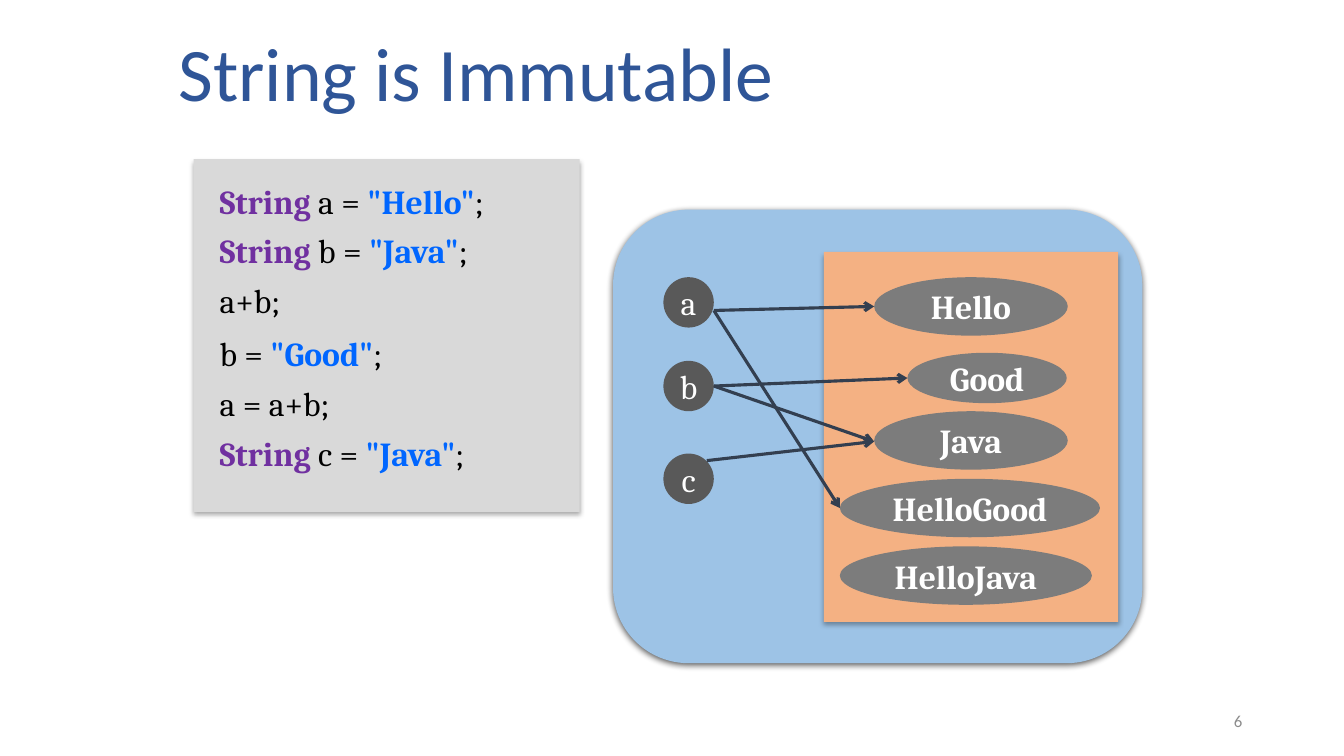
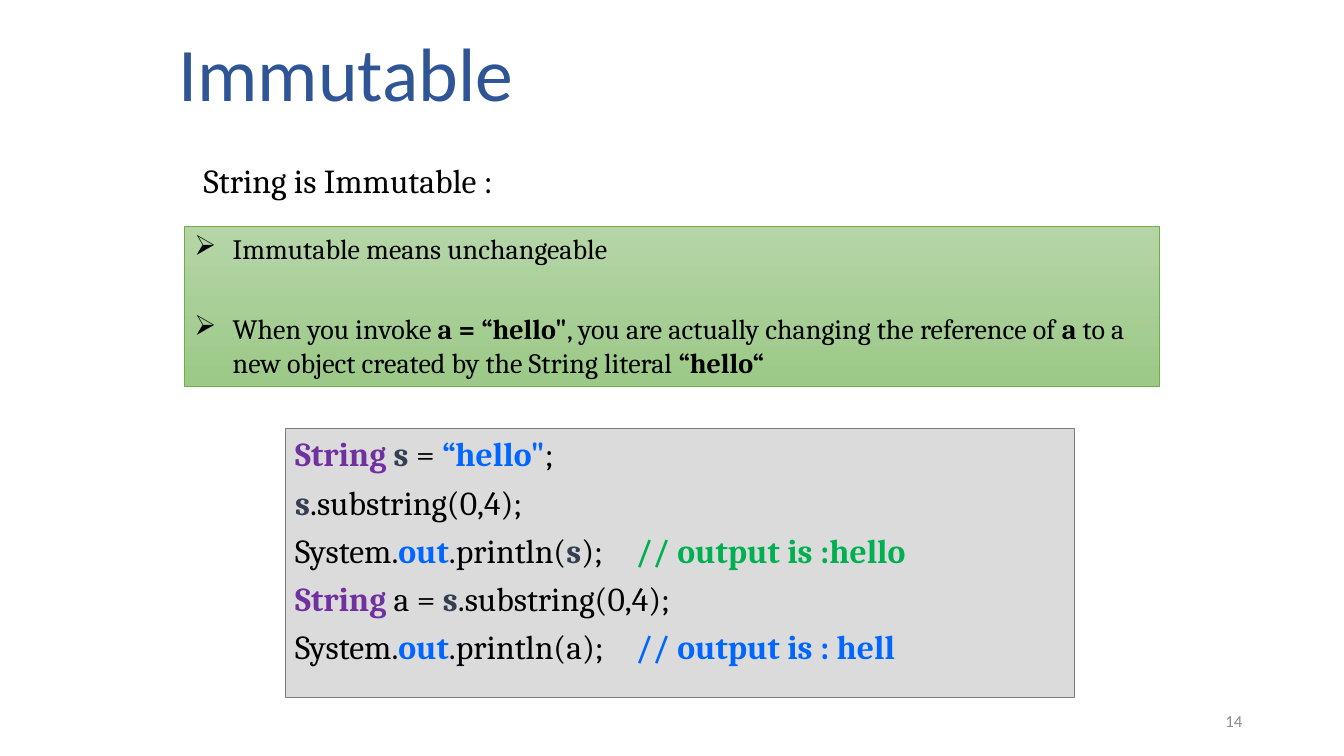
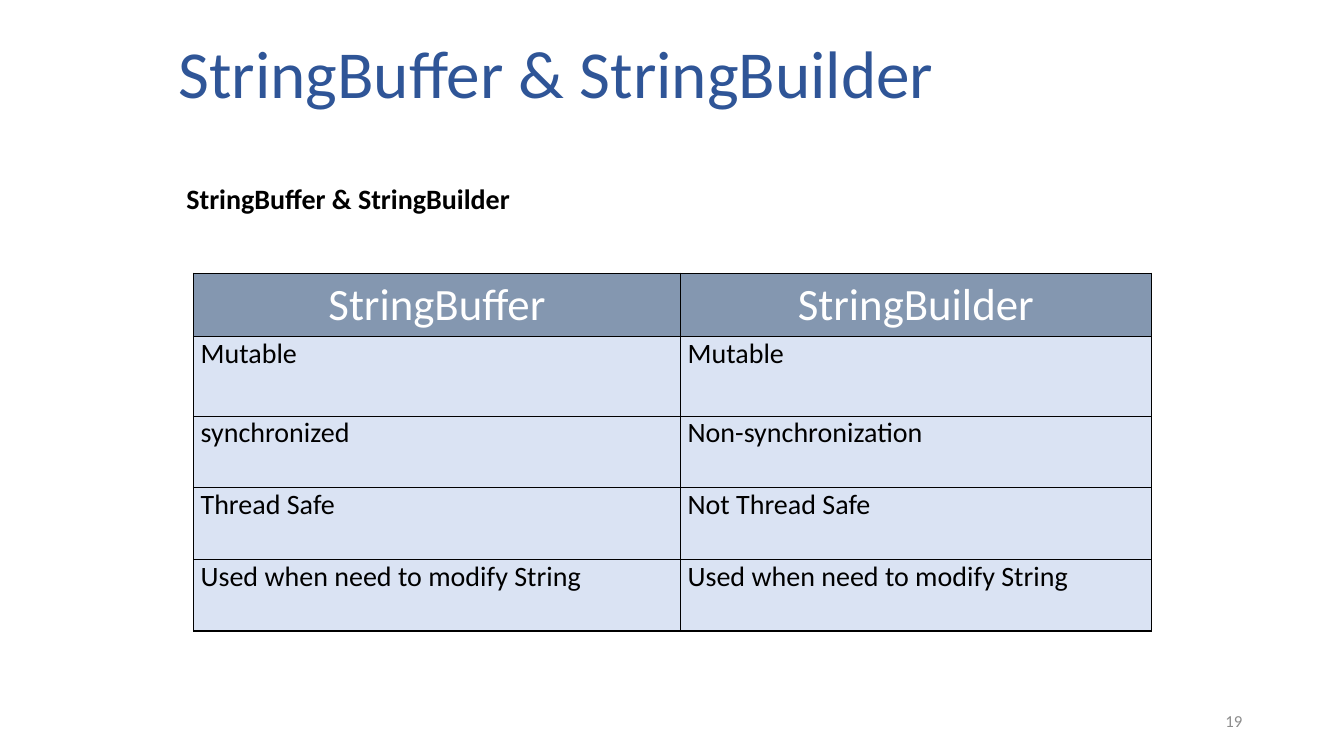
from lxml import etree
from pptx import Presentation
from pptx import util as u
from pptx.dml.color import RGBColor
from pptx.enum import shapes, text
from pptx.oxml.ns import qn

# Shared colours and fonts
TITLE_BLUE = RGBColor(0x2F, 0x55, 0x97)
NUMBER_GREY = RGBColor(0x8C, 0x8C, 0x8C)
BLACK = RGBColor(0, 0, 0)
WHITE = RGBColor(0xFF, 0xFF, 0xFF)
PURPLE = RGBColor(0x70, 0x30, 0xA0)
BLUE = RGBColor(0x00, 0x66, 0xFF)
GREEN = RGBColor(0x00, 0xB0, 0x50)
SLATE = RGBColor(0x33, 0x3F, 0x50)
CODE_GREY = RGBColor(0xD9, 0xD9, 0xD9)
OUTPUT_GREY = RGBColor(0xDB, 0xDB, 0xDB)
OBJECT_GREY = RGBColor(0x7C, 0x7C, 0x7C)
VARIABLE_GREY = RGBColor(0x59, 0x59, 0x59)
MEMORY_BLUE = RGBColor(0x9D, 0xC3, 0xE6)
POOL_ORANGE = RGBColor(0xF4, 0xB1, 0x83)
NOTE_TOP = RGBColor(0xB5, 0xD5, 0xA7)
NOTE_BOTTOM = RGBColor(0x9C, 0xC9, 0x87)
NOTE_EDGE = RGBColor(0x70, 0xAD, 0x47)
HEADER_FILL = RGBColor(0x84, 0x97, 0xB0)
CELL_FILL = RGBColor(0xDA, 0xE3, 0xF3)
SANS, SERIF = "Calibri", "Cambria"

LEFT, CENTER, RIGHT = (text.PP_ALIGN.LEFT, text.PP_ALIGN.CENTER,
                       text.PP_ALIGN.RIGHT)
TOP, MIDDLE = text.MSO_ANCHOR.TOP, text.MSO_ANCHOR.MIDDLE
RECTANGLE = shapes.MSO_SHAPE.RECTANGLE
ROUNDED = shapes.MSO_SHAPE.ROUNDED_RECTANGLE
OVAL = shapes.MSO_SHAPE.OVAL
SOFT_SHADOW = (32, 3.5, 2.2)
DEEP_SHADOW = (63, 4.5, 1.5)
TITLE_ONLY, TITLE_AND_BODY = 5, 1


def plain(words):
    return words, BLACK, False


def bold(words, color=BLACK):
    return words, color, True


class Deck:
    """Holds the presentation, its style and the current slide."""

    def __init__(self):
        self.presentation = Presentation()
        self.presentation.slide_width = u.Inches(13.33)
        self.presentation.slide_height = u.Inches(7.5)
        self.slide = None

    def new_slide(self, title, number, size=54, layout=TITLE_ONLY):
        self.slide = self.presentation.slides.add_slide(
            self.presentation.slide_layouts[layout])
        shape = self.slide.shapes.title
        self.place(shape, 1.67, 0, 7.83, 1.42)
        self.frame(shape, MIDDLE)
        self.add_lines(shape.text_frame, [[(title, TITLE_BLUE, False)]], size,
                       SANS)
        self.text_box((9.42, 6.95, 3, 0.4), [(number, NUMBER_GREY, False)],
                      12, SANS, align=RIGHT, anchor=MIDDLE)

    @staticmethod
    def place(shape, left, top, width, height):
        shape.left, shape.top = u.Inches(left), u.Inches(top)
        shape.width, shape.height = u.Inches(width), u.Inches(height)

    @staticmethod
    def frame(shape, anchor, wrap=True):
        shape.text_frame.auto_size = text.MSO_AUTO_SIZE.NONE
        shape.text_frame.word_wrap = wrap
        shape.text_frame.vertical_anchor = anchor

    @staticmethod
    def add_lines(frame, lines, size, font, align=LEFT, indent=0, gap=0,
                  bullet=None):
        for index, line in enumerate(lines):
            paragraph = frame.add_paragraph() if index else frame.paragraphs[0]
            paragraph.alignment = align
            paragraph.space_before = u.Pt(gap if index else 0)
            properties = paragraph._p.get_or_add_pPr()
            properties.set("marL", str(u.Inches(indent)))
            properties.set("indent", str(-u.Inches(indent)))
            if bullet:
                etree.SubElement(properties, qn("a:buChar"), char=bullet)
            else:
                etree.SubElement(properties, qn("a:buNone"))
            for words, color, is_bold in line:
                run = paragraph.add_run()
                run.text = words
                run.font.name, run.font.size = font, u.Pt(size)
                run.font.bold, run.font.color.rgb = is_bold, color

    def body(self, box, line, size):
        shape = self.slide.placeholders[1]
        self.place(shape, *box)
        self.frame(shape, TOP)
        self.add_lines(shape.text_frame, [line], size, SERIF, indent=0.25)
        shape.text_frame.paragraphs[0].line_spacing = 0.9

    def text_box(self, box, line, size, font, align=LEFT, anchor=TOP,
                 wrap=True, indent=0):
        shape = self.slide.shapes.add_textbox(*map(u.Inches, box))
        self.frame(shape, anchor, wrap)
        self.add_lines(shape.text_frame, [line], size, font, align, indent)

    def panel(self, kind, box, fill, edge=None, shadow=None):
        shape = self.slide.shapes.add_shape(kind, *map(u.Inches, box))
        if isinstance(fill, RGBColor):
            shape.fill.solid()
            shape.fill.fore_color.rgb = fill
        else:
            shape.fill.gradient()
            shape.fill.gradient_angle = 270
            for stop, color in zip(shape.fill.gradient_stops, fill):
                stop.color.rgb = color
        if edge:
            shape.line.color.rgb = edge
            shape.line.width = u.Pt(0.5)
        else:
            shape.line.fill.background()
        shape.shadow.inherit = False
        if shadow:
            self.cast_shadow(shape, *shadow)
        return shape

    @staticmethod
    def cast_shadow(shape, opacity, blur, distance):
        effects = shape._element.spPr.find(qn("a:effectLst"))
        outer = etree.SubElement(
            effects, qn("a:outerShdw"), blurRad=str(u.Pt(blur)),
            dist=str(u.Pt(distance)), dir="5400000", rotWithShape="0")
        color = etree.SubElement(outer, qn("a:srgbClr"), val=str(BLACK))
        etree.SubElement(color, qn("a:alpha"), val=str(opacity * 1000))

    def oval(self, box, fill, label, is_bold):
        shape = self.panel(OVAL, box, fill)
        self.frame(shape, MIDDLE, wrap=False)
        self.add_lines(shape.text_frame, [[(label, WHITE, is_bold)]], 24,
                       SERIF, CENTER)

    def text_panel(self, box, fill, edge, lines, size, gap, bullet=None):
        shape = self.panel(RECTANGLE, box, fill, edge)
        self.frame(shape, TOP)
        self.add_lines(shape.text_frame, lines, size, SERIF, indent=0.38,
                       gap=gap, bullet=bullet)

    def arrow(self, start, end):
        connector = self.slide.shapes.add_connector(
            shapes.MSO_CONNECTOR.STRAIGHT, *map(u.Inches, start + end))
        connector.line.color.rgb = SLATE
        connector.line.width = u.Pt(2.25)
        properties = connector._element.spPr
        etree.SubElement(properties.find(qn("a:ln")), qn("a:tailEnd"),
                         type="arrow")
        etree.SubElement(properties, qn("a:effectLst"))

    def table(self, left, top, widths, heights, rows):
        table = self.slide.shapes.add_table(
            len(rows), len(widths), u.Inches(left), u.Inches(top),
            u.Inches(sum(widths)), u.Inches(sum(heights))).table
        table.horz_banding = False
        for column, width in zip(table.columns, widths):
            column.width = u.Inches(width)
        for index, (row, height) in enumerate(zip(rows, heights)):
            table.rows[index].height = u.Inches(height)
            for cell, words in zip(table.rows[index].cells, row):
                self.cell(cell, words, header=index == 0)

    def cell(self, cell, words, header):
        properties = cell._tc.get_or_add_tcPr()
        for side in ("a:lnL", "a:lnR", "a:lnT", "a:lnB"):
            line = etree.SubElement(properties, qn(side), w=str(u.Pt(1)))
            fill = etree.SubElement(line, qn("a:solidFill"))
            etree.SubElement(fill, qn("a:srgbClr"), val=str(BLACK))
        cell.fill.solid()
        cell.fill.fore_color.rgb = HEADER_FILL if header else CELL_FILL
        cell.margin_left = cell.margin_right = u.Inches(0.07)
        cell.margin_top = cell.margin_bottom = 0
        cell.vertical_anchor = MIDDLE if header else TOP
        color, size, align = (WHITE, 32, CENTER) if header else (BLACK, 20, LEFT)
        self.add_lines(cell.text_frame, [[(words, color, False)]], size, SANS,
                       align)


deck = Deck()

# Slide 1: variables and the string pool
deck.new_slide("String is Immutable", "6")
deck.panel(RECTANGLE, (1.92, 1.58, 3.83, 3.5), CODE_GREY, shadow=SOFT_SHADOW)
deck.panel(ROUNDED, (6.08, 2.08, 5.25, 4.5), MEMORY_BLUE, shadow=DEEP_SHADOW)
deck.panel(RECTANGLE, (8.17, 2.5, 2.92, 3.67), POOL_ORANGE, shadow=SOFT_SHADOW)


def declaration(name, value):
    return [bold("String", PURPLE), plain(f" {name} = "),
            bold(f'"{value}"', BLUE), plain(";")]


statements = [
    (1.75, 3.04, declaration("a", "Hello")),
    (2.23, 2.96, declaration("b", "Java")),
    (2.73, 0.87, [plain("a+b;")]),
    (3.25, 1.93, [plain("b ="), bold(' "Good"', BLUE), plain(";")]),
    (3.75, 1.45, [plain("a = a+b;")]),
    (4.25, 2.96, declaration("c", "Java")),
]
for top, width, line in statements:
    deck.text_box((2.08, top, width, 0.5), line, 24, SERIF, wrap=False,
                  indent=0.38)

for name, top in (("a", 2.75), ("b", 3.58), ("c", 4.5)):
    deck.oval((6.58, top, 0.5, 0.5), VARIABLE_GREY, name, False)

pool = [
    ("Hello", (8.67, 2.75, 1.92, 0.58)),
    ("Good", (9, 3.5, 1.58, 0.5)),
    ("Java", (8.67, 4.08, 1.92, 0.58)),
    ("HelloGood", (8.33, 4.75, 2.58, 0.58)),
    ("HelloJava", (8.33, 5.42, 2.5, 0.58)),
]
for value, box in pool:
    deck.oval(box, OBJECT_GREY, value, True)

from_a, from_b, from_c = (7.08, 3.08), (7.08, 3.83), (7.01, 4.57)
to_java = (8.67, 4.38)
for start, end in ((from_a, (8.67, 3.04)), (from_b, (9, 3.75)),
                   (from_b, to_java), (from_a, (8.33, 5.04)),
                   (from_c, to_java)):
    deck.arrow(start, end)

# Slide 2: what immutable means
deck.new_slide("Immutable", "14", layout=TITLE_AND_BODY)
deck.body((1.92, 1.58, 9.67, 0.42), [plain("String is Immutable :")], 24)
deck.text_panel(
    (1.83, 2.25, 9.67, 1.58), [NOTE_TOP, NOTE_BOTTOM], NOTE_EDGE,
    [[plain("Immutable means unchangeable")],
     [plain("When you invoke\u00a0"), bold("a = “hello\""),
      plain(", you are actually changing the reference of\u00a0"), bold("a"),
      plain("\u00a0to a new object created by the String literal\u00a0"),
      bold("“hello“")]],
    20, gap=33, bullet="➢")

variable_s = bold("s", SLATE)
substring = plain(".substring(0,4);")
print_start = [plain("System."), bold("out", BLUE)]
deck.text_panel(
    (2.83, 4.25, 7.83, 2.67), OUTPUT_GREY, OBJECT_GREY,
    [[bold("String ", PURPLE), variable_s, plain(" = "),
      bold("“hello\"", BLUE), plain(";")],
     [variable_s, substring],
     print_start + [plain(".println("), variable_s, plain(");\t"),
                    bold("// output is :hello", GREEN)],
     [bold("String", PURPLE), plain(" a = "), variable_s, substring],
     print_start + [plain(".println(a); \t"),
                    bold("// output is : hell", BLUE)]],
    24, gap=5.6)

# Slide 3: comparison table
deck.new_slide("StringBuffer & StringBuilder", "19", size=48)
deck.text_box((1.75, 1.75, 3.67, 0.5), [bold("StringBuffer & StringBuilder")],
              20, SANS)
deck.table(1.92, 2.71, [4.83, 4.67], [0.63, 0.79] + [0.71] * 3, [
    ("StringBuffer", "StringBuilder"),
    ("Mutable", "Mutable"),
    ("synchronized", "Non-synchronization"),
    ("Thread Safe", "Not Thread Safe"),
    ("Used when need to modify String", "Used when need to modify String"),
])

deck.presentation.save("out.pptx")
